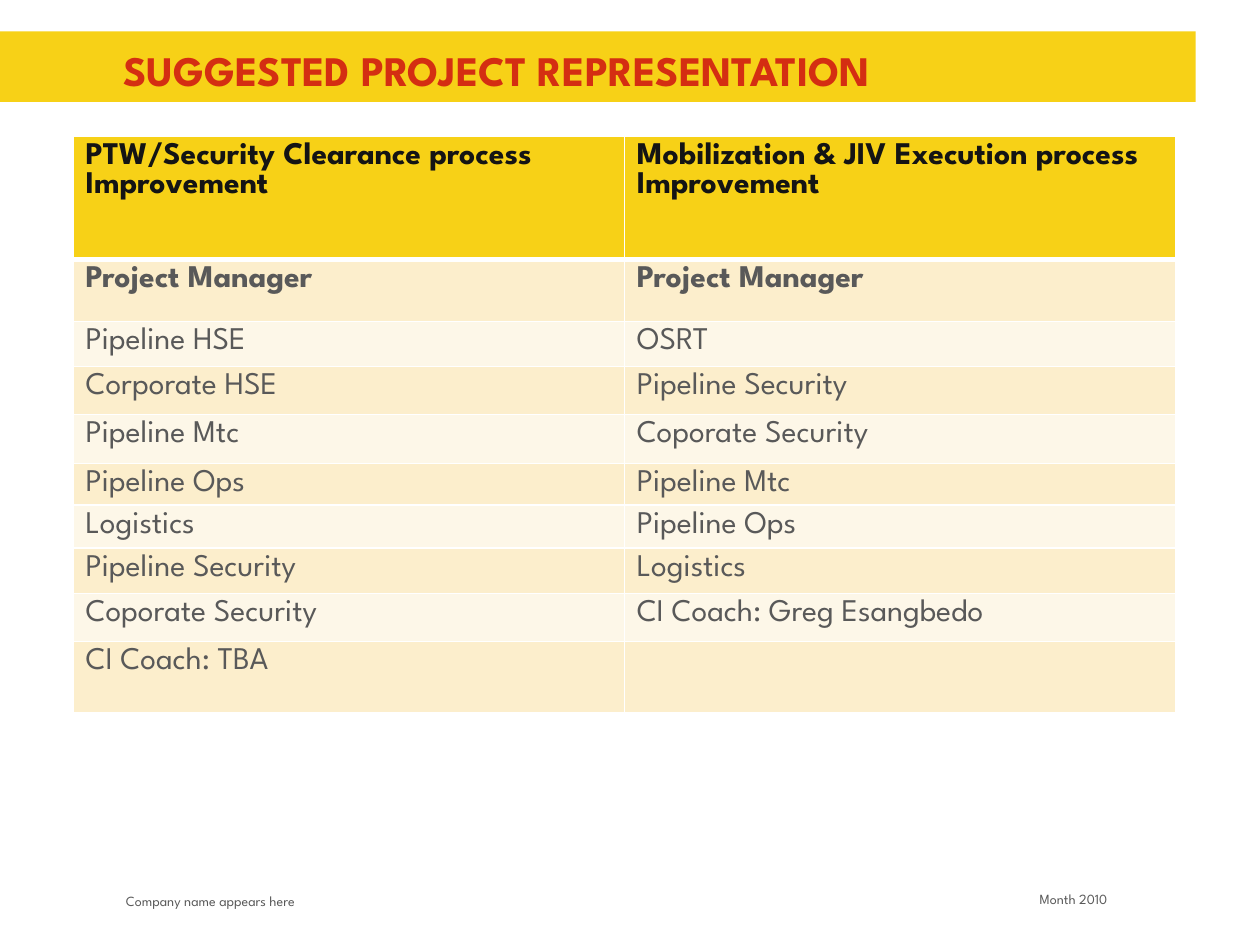
import pptx
import pptx.util
import pptx.dml.color
import pptx.enum.text
import pptx.enum.shapes
import pptx.oxml
import pptx.oxml.ns
from pptx.util import Inches

TITLE = "SUGGESTED PROJECT REPRESENTATION"
ROWS = [
    ("PTW/Security Clearance process Improvement", "Mobilization & JIV Execution process Improvement"),
    ("Project Manager", "Project Manager"),
    ("Pipeline HSE", "OSRT"),
    ("Corporate HSE", "Pipeline Security"),
    ("Pipeline Mtc", "Coporate Security"),
    ("Pipeline Ops", "Pipeline Mtc"),
    ("Logistics", "Pipeline Ops"),
    ("Pipeline Security", "Logistics"),
    ("Coporate Security", "CI Coach: Greg Esangbedo"),
    ("CI Coach: TBA", ""),
]
HEIGHTS = [0.98, 0.49, 0.36, 0.38, 0.39, 0.33, 0.34, 0.36, 0.38, 0.57]
LEFT, TOP, WIDTH = 0.58, 1.08, 8.75
FOOTERS = [
    ("Company name appears here", (1, 7.08, 2.76, 0.35), pptx.enum.text.PP_ALIGN.LEFT),
    ("Month 2010", (7.93, 7.07, 1.18, 0.19), pptx.enum.text.PP_ALIGN.CENTER),
]
FONT = "League Spartan"
YELLOW, RED, BLACK, GREY = "F7D117", "D42E12", "141414", "595959"
BANDS = ["FDF7E8", "FCEECC"]


def rgb(value):
    """Return the colour for a hex string."""
    return pptx.dml.color.RGBColor.from_string(value)


def write(tf, text, size, color, bold=False, align=pptx.enum.text.PP_ALIGN.LEFT):
    """Put one styled paragraph into a text frame."""
    p = tf.paragraphs[0]
    if text:
        p.add_run().text = text
    p.alignment = align
    p.font.name, p.font.size, p.font.bold = FONT, pptx.util.Pt(size), bold
    p.font.color.rgb = rgb(color)


def set_margins(tf, bottom=0):
    """Clear the insets of a text frame except the bottom one."""
    tf.margin_left = tf.margin_top = tf.margin_right = 0
    tf.margin_bottom = Inches(bottom)


def set_borders(cell, bottom):
    """Draw white borders around a cell."""
    tc_pr = cell._tc.get_or_add_tcPr()
    widths = {"lnL": 1, "lnR": 1, "lnT": 1, "lnB": bottom}
    for i, (tag, width) in enumerate(widths.items()):
        tc_pr.insert(i, pptx.oxml.parse_xml(
            f'<a:{tag} {pptx.oxml.ns.nsdecls("a")} w="{pptx.util.Pt(width)}">'
            f'<a:solidFill><a:srgbClr val="FFFFFF"/></a:solidFill></a:{tag}>'))


def add_banner(s):
    """Add the yellow band and the title on it."""
    band = s.shapes.add_shape(pptx.enum.shapes.MSO_SHAPE.RECTANGLE,
                              0, Inches(0.25), Inches(9.49), Inches(0.56))
    band.shadow.inherit = False
    band.fill.solid()
    band.fill.fore_color.rgb = rgb(YELLOW)
    band.line.fill.background()
    s.shapes._spTree.insert(2, band._element)
    title = s.shapes.title
    title.left, title.top, title.width, title.height = map(Inches, (0.98, 0.32, 8.42, 0.46))
    set_margins(title.text_frame)
    title.text_frame.vertical_anchor = pptx.enum.text.MSO_ANCHOR.MIDDLE
    write(title.text_frame, TITLE, 24, RED, True)


def add_teams(s):
    """Add the table of the two project teams."""
    table = s.shapes.add_table(len(ROWS), len(ROWS[0]), Inches(LEFT), Inches(TOP),
                               Inches(WIDTH), Inches(sum(HEIGHTS))).table
    for i, (texts, height) in enumerate(zip(ROWS, HEIGHTS)):
        table.rows[i].height = Inches(height)
        for j, text in enumerate(texts):
            cell = table.cell(i, j)
            cell.fill.solid()
            cell.fill.fore_color.rgb = rgb(BANDS[i % 2] if i else YELLOW)
            write(cell.text_frame, text, 18, GREY if i else BLACK, i < 2)
            set_borders(cell, 1 if i else 3)


def add_footers(s):
    """Add the small texts at the foot of the slide."""
    for text, box, align in FOOTERS:
        tf = s.shapes.add_textbox(*map(Inches, box)).text_frame
        tf.word_wrap = False
        set_margins(tf, 0.05)
        write(tf, text, 8, GREY, align=align)


def main():
    """Build and save the slide."""
    prs = pptx.Presentation()
    prs.slide_width, prs.slide_height = Inches(10), Inches(7.5)
    s = prs.slides.add_slide(prs.slide_layouts[5])
    add_banner(s)
    add_teams(s)
    add_footers(s)
    prs.save("out.pptx")


if __name__ == "__main__":
    main()
